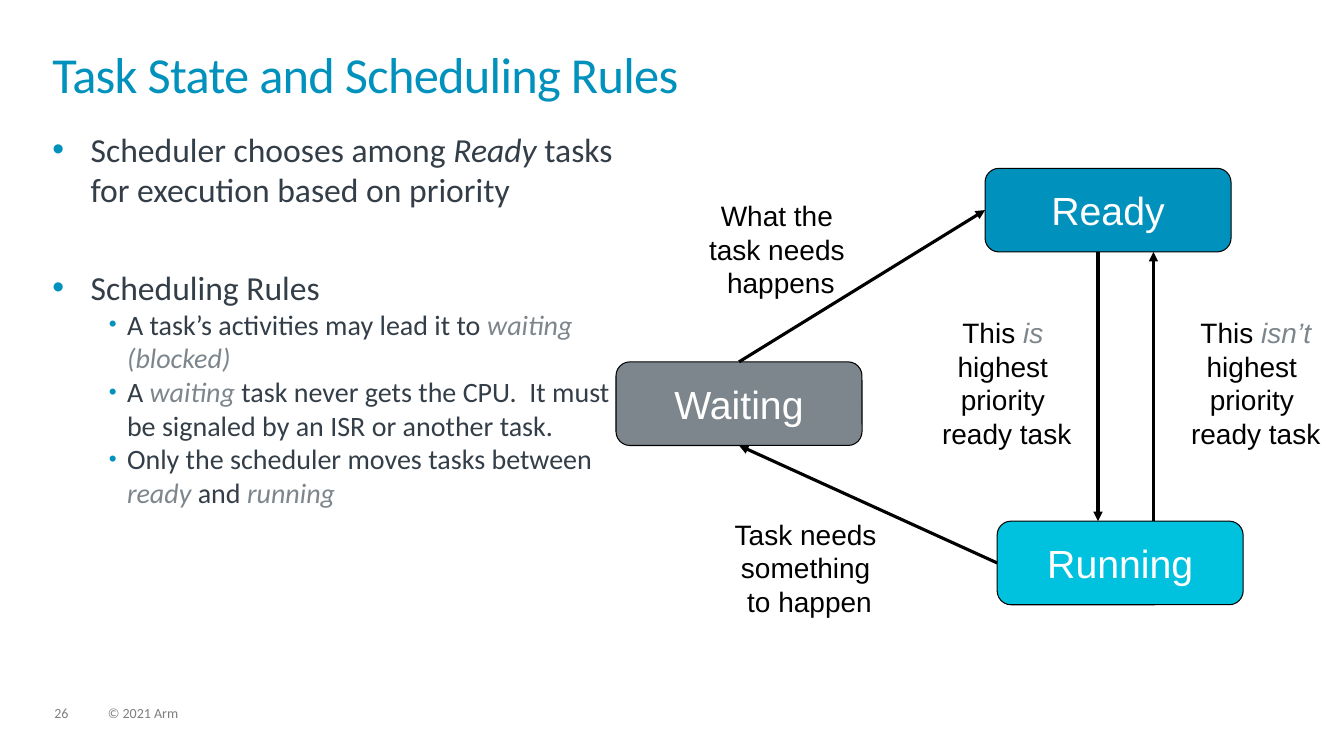
import pptx
import pptx.util
from lxml import etree
from pptx.dml.color import RGBColor
from pptx.enum.shapes import MSO_CONNECTOR, MSO_SHAPE
from pptx.enum.text import MSO_ANCHOR, MSO_AUTO_SIZE, PP_ALIGN
from pptx.oxml.ns import qn
from pptx.util import Inches, Pt

BLUE = RGBColor(0x00, 0x91, 0xBD)
CYAN = RGBColor(0x00, 0xC1, 0xDE)
GREY = RGBColor(0x7D, 0x86, 0x8C)
SLATE = RGBColor(0x33, 0x3E, 0x48)
FOOTER_GREY = RGBColor(0x7F, 0x7F, 0x7F)
BLACK = RGBColor(0, 0, 0)
WHITE = RGBColor(0xFF, 0xFF, 0xFF)

# Content: text between asterisks is italic
TITLE = "Task State and Scheduling Rules"
RULES = [  # level, space before in points, text
    (0, 0, "Scheduler chooses among *Ready* tasks for execution based on priority"),
    (0, 41, "Scheduling Rules"),
    (1, 0, "A task’s activities may lead it to *waiting (blocked)*"),
    (1, 0, "A *waiting *task never gets the CPU.  It must be signaled by an ISR or another task."),
    (1, 0, "Only the scheduler moves tasks between *ready *and *running*"),
]
# Level: size, left margin, hanging indent, bullet percent, italic colour
LEVELS = {0: (24, 0.38, 0.38, 100, SLATE), 1: (20, 0.74, 0.18, 80, GREY)}
STATES = {  # name: left, top, fill
    "Ready": (9.77, 1.67, BLUE),
    "Running": (9.89, 5.17, CYAN),
    "Waiting": (6.11, 3.59, GREY),
}
STATE_W, STATE_H = 2.44, 0.83
TOP, LEFT, BOTTOM = 0, 1, 2
JOINED_MOVES = [  # from state and side, to state and side
    ("Waiting", TOP, "Ready", LEFT),
    ("Running", LEFT, "Waiting", BOTTOM),
]
READY_BOTTOM = STATES["Ready"][1] + STATE_H
RUNNING_TOP = STATES["Running"][1]
VERTICAL_MOVES = [  # x, start y, end y
    (10.89, READY_BOTTOM, RUNNING_TOP),
    (11.44, RUNNING_TOP, READY_BOTTOM),
]
REASONS = [  # left, top, width, height, lines
    (6.93, 1.92, 1.63, 1.11, ["What the ", "task needs ", "happens"]),
    (7.18, 5.08, 1.7, 1.11, ["Task needs ", "something ", "to happen"]),
    (9.24, 3.08, 1.49, 1.45, ["This *is *", "highest ", "priority ", "ready task"]),
    (11.71, 3.08, 1.49, 1.45, ["This *isn’t*", "highest ", "priority ", "ready task"]),
]
FOOTER = [(0.54, 0.34, "26"), (1.07, 5.07, "© 2021 Arm")]  # left, width, text

deck = pptx.Presentation()
deck.slide_width, deck.slide_height = Inches(13.33), Inches(7.5)
slide = deck.slides.add_slide(deck.slide_layouts[6])


def add_box(left, top, width, height, inset=True, wrap=True):
    box = slide.shapes.add_textbox(*map(Inches, (left, top, width, height)))
    frame = box.text_frame
    frame.word_wrap = wrap
    if not inset:
        frame.margin_left = frame.margin_right = 0
        frame.margin_top = frame.margin_bottom = 0
    return frame


def write(paragraph, text, size, font, color, italic_color=GREY):
    for i, piece in enumerate(text.split("*")):
        if not piece:
            continue
        run = paragraph.add_run()
        run.text = piece
        italic = i % 2 == 1
        run.font.size, run.font.name, run.font.italic = Pt(size), font, italic
        run.font.color.rgb = italic_color if italic else color


def next_paragraph(frame, index):
    return frame.add_paragraph() if index else frame.paragraphs[0]


def add_bullet(paragraph, margin, hang, percent):
    props = paragraph._p.get_or_add_pPr()
    props.set("marL", str(Inches(margin)))
    props.set("indent", str(-Inches(hang)))
    color = etree.SubElement(props, qn("a:buClr"))
    etree.SubElement(color, qn("a:srgbClr"), val=str(BLUE))
    etree.SubElement(props, qn("a:buSzPct"), val=str(percent * 1000))
    etree.SubElement(props, qn("a:buFont"), typeface="Arial")
    etree.SubElement(props, qn("a:buChar"), char="•")


def add_arrow(x1, y1, x2, y2):
    arrow = slide.shapes.add_connector(
        MSO_CONNECTOR.STRAIGHT, *map(Inches, (x1, y1, x2, y2)))
    arrow.line.color.rgb = BLACK
    arrow.line.width = Pt(2.25)
    props = arrow._element.spPr
    etree.SubElement(props.find(qn("a:ln")), qn("a:tailEnd"), type="triangle")
    etree.SubElement(props, qn("a:effectLst"))
    return arrow


# Footer
for left, width, text in FOOTER:
    frame = add_box(left, 7.01, width, 0.15, inset=False)
    frame.paragraphs[0].line_spacing = 0.9
    write(frame.paragraphs[0], text, 10, "Calibri", FOOTER_GREY)

# Title
heading = add_box(0.52, 0.52, 12.28, 0.72, inset=False).paragraphs[0]
heading.line_spacing = 0.85
write(heading, TITLE, 36, "Calibri", BLUE)
heading.runs[0].font._element.set("spc", "-50")

# Scheduling rules
rules_frame = add_box(0.52, 1.28, 5.63, 5.41, inset=False)
for i, (level, before, text) in enumerate(RULES):
    size, margin, hang, percent, italic_color = LEVELS[level]
    rule = next_paragraph(rules_frame, i)
    rule.level = level
    if before:
        rule.space_before = Pt(before)
    add_bullet(rule, margin, hang, percent)
    write(rule, text, size, "Calibri", SLATE, italic_color)

# Task states
state_boxes = {}
for name, (left, top, fill) in STATES.items():
    state = slide.shapes.add_shape(
        MSO_SHAPE.ROUNDED_RECTANGLE, *map(Inches, (left, top, STATE_W, STATE_H)))
    state.shadow.inherit = False
    state.fill.solid()
    state.fill.fore_color.rgb = fill
    state.line.color.rgb = BLACK
    state.line.width = Pt(0.75)
    state.text_frame.word_wrap = False
    state.text_frame.vertical_anchor = MSO_ANCHOR.MIDDLE
    state.text_frame.paragraphs[0].alignment = PP_ALIGN.CENTER
    write(state.text_frame.paragraphs[0], name, 28, "Arial", WHITE)
    state_boxes[name] = state

# Moves between states
for start, start_side, end, end_side in JOINED_MOVES:
    move = add_arrow(0, 0, 1, 1)
    move.begin_connect(state_boxes[start], start_side)
    move.end_connect(state_boxes[end], end_side)
for x, start_y, end_y in VERTICAL_MOVES:
    add_arrow(x, start_y, x, end_y)

# Reasons for the moves
for left, top, width, height, lines in REASONS:
    reason = add_box(left, top, width, height, wrap=False)
    reason.auto_size = MSO_AUTO_SIZE.SHAPE_TO_FIT_TEXT
    for i, text in enumerate(lines):
        line = next_paragraph(reason, i)
        line.alignment = PP_ALIGN.CENTER
        write(line, text, 20, "Arial", BLACK)

deck.save("out.pptx")
